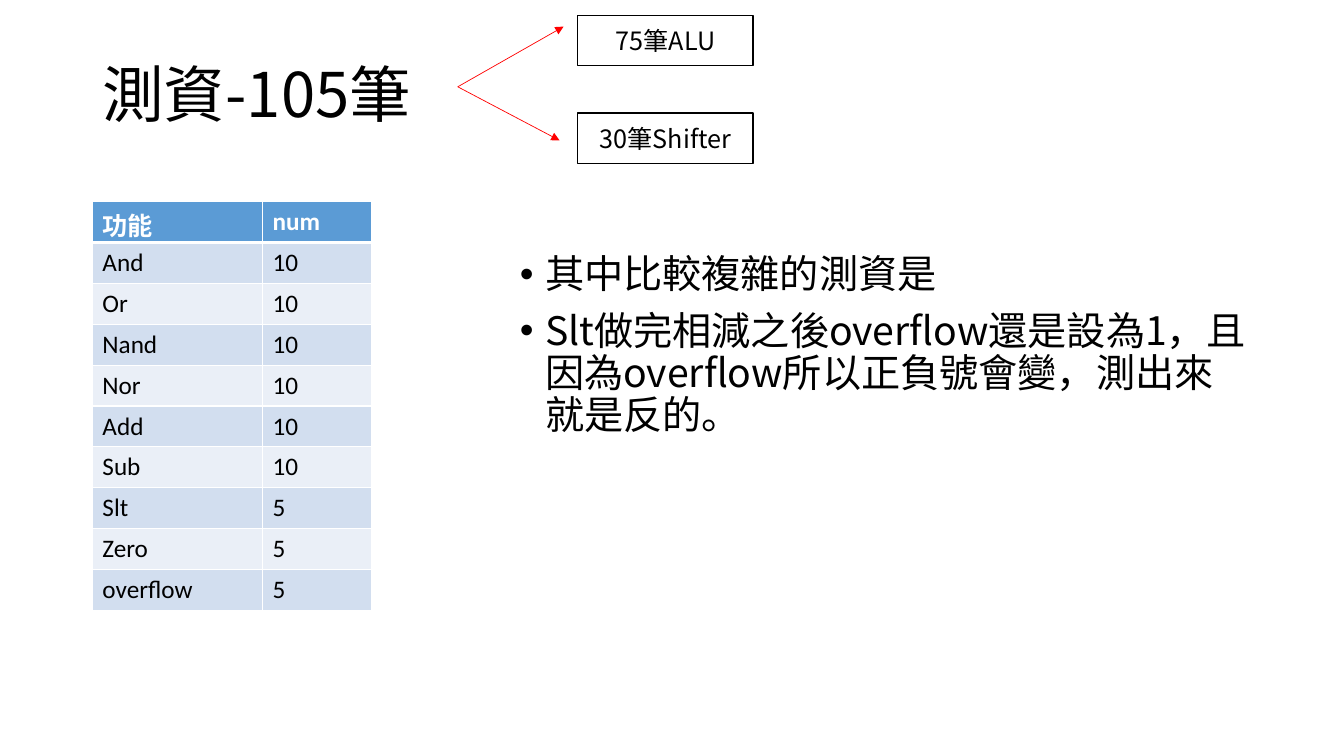
from lxml import etree
from pptx import Presentation
from pptx.dml.color import RGBColor
from pptx.enum.shapes import MSO_CONNECTOR, MSO_SHAPE
from pptx.enum.text import MSO_ANCHOR, PP_ALIGN
from pptx.oxml.ns import qn
from pptx.util import Pt

STRAIGHT = MSO_CONNECTOR.STRAIGHT
RECTANGLE = MSO_SHAPE.RECTANGLE
TOP, MIDDLE = MSO_ANCHOR.TOP, MSO_ANCHOR.MIDDLE
LEFT, CENTER = PP_ALIGN.LEFT, PP_ALIGN.CENTER

CJK_FONT, LATIN_FONT = "Noto Sans CJK SC", "Calibri"
BLACK, WHITE, RED = "000000", "FFFFFF", "FF0000"
HEADER_FILL, BAND_FILLS = "5B9BD5", ("D2DEEF", "EAEFF7")

TEST_COUNTS = [("And", 10), ("Or", 10), ("Nand", 10), ("Nor", 10), ("Add", 10),
               ("Sub", 10), ("Slt", 5), ("Zero", 5), ("overflow", 5)]
REMARKS = ["其中比較複雜的測資是",
           "Slt做完相減之後overflow還是設為1，且因為overflow所以正負號會變，測出來就是反的。"]


def color(value):
    return RGBColor.from_string(value)


def write_text(frame, *lines, size=18, font=CJK_FONT, fill=BLACK, bold=False,
               align=LEFT, anchor=TOP, line_spacing=1.0, before=0, bullet=None, indent=0):
    frame.word_wrap = True
    frame.vertical_anchor = anchor
    for index, line in enumerate(lines):
        paragraph = frame.add_paragraph() if index else frame.paragraphs[0]
        paragraph.alignment = align
        paragraph.line_spacing = line_spacing
        paragraph.space_before = Pt(before)
        run = paragraph.add_run()
        run.text = line
        run.font.size = Pt(size)
        run.font.bold = bold
        run.font.name = font
        run.font.color.rgb = color(fill)
        etree.SubElement(run._r.get_or_add_rPr(), qn("a:ea"), typeface=font)
        if bullet:
            properties = paragraph._p.get_or_add_pPr()
            properties.set("marL", str(Pt(indent)))
            properties.set("indent", str(-Pt(indent)))
            etree.SubElement(properties, qn("a:buFont"), typeface="Arial")
            etree.SubElement(properties, qn("a:buChar"), char=bullet)


def add_text_box(slide, box, *lines, **text_format):
    shape = slide.shapes.add_textbox(*map(Pt, box))
    write_text(shape.text_frame, *lines, **text_format)


def set_borders(cell, **widths):
    properties = cell._tc.get_or_add_tcPr()
    for side in ("L", "R", "T", "B"):
        border = etree.SubElement(properties, qn("a:ln" + side), w=str(Pt(widths.get(side, 1))))
        fill = etree.SubElement(border, qn("a:solidFill"))
        etree.SubElement(fill, qn("a:srgbClr"), val=WHITE)


def add_count_table(slide, box):
    left, top, width, height = box
    rows = [("功能", "num")] + TEST_COUNTS
    table = slide.shapes.add_table(len(rows), 2, *map(Pt, box)).table
    for column, share in zip(table.columns, (0.61, 0.39)):
        column.width = Pt(width * share)
    for row_index, values in enumerate(rows):
        table.rows[row_index].height = Pt(height / len(rows))
        header = row_index == 0
        for column_index, value in enumerate(values):
            cell = table.cell(row_index, column_index)
            set_borders(cell, T=3 if row_index == 1 else 1, B=3 if header else 1)
            cell.fill.solid()
            cell.fill.fore_color.rgb = color(HEADER_FILL if header else BAND_FILLS[(row_index - 1) % 2])
            write_text(cell.text_frame, str(value), bold=header,
                       font=CJK_FONT if value == "功能" else LATIN_FONT,
                       fill=WHITE if header else BLACK)


def add_arrow(slide, start, end):
    arrow = slide.shapes.add_connector(STRAIGHT, *map(Pt, start + end))
    arrow.line.color.rgb = color(RED)
    arrow.line.width = Pt(0.5)
    etree.SubElement(arrow.line._get_or_add_ln(), qn("a:tailEnd"), type="triangle")
    etree.SubElement(arrow._element.spPr, qn("a:effectLst"))


def add_split(slide, box):
    left, top, width, height = box
    label_width, label_height = 125.3, 36
    start = (left, top + 51)
    branches = [("75筆ALU", 0, (75.6, 8)), ("30筆Shifter", height - label_height, (72.7, 89.3))]
    for label, offset, (tip_x, tip_y) in branches:
        add_arrow(slide, start, (left + tip_x, top + tip_y))
        shape = slide.shapes.add_shape(RECTANGLE, Pt(left + width - label_width), Pt(top + offset),
                                       Pt(label_width), Pt(label_height))
        shape.shadow.inherit = False
        shape.fill.background()
        shape.line.color.rgb = color(BLACK)
        shape.line.width = Pt(1)
        write_text(shape.text_frame, label, align=CENTER, anchor=MIDDLE)


def build_test_data_slide(presentation):
    slide = presentation.slides.add_slide(presentation.slide_layouts[6])
    add_text_box(slide, (66, 17.3, 828, 104.4), "測資-105筆", size=44, anchor=MIDDLE, line_spacing=0.9)
    add_count_table(slide, (66, 144, 199.4, 292))
    add_split(slide, (327, 11, 211, 105.8))
    add_text_box(slide, (364.3, 178.6, 532.8, 342.7), *REMARKS, size=28, line_spacing=0.9,
                 before=10, bullet="•", indent=18)


presentation = Presentation()
presentation.slide_width, presentation.slide_height = Pt(960), Pt(540)
build_test_data_slide(presentation)
presentation.save("out.pptx")
